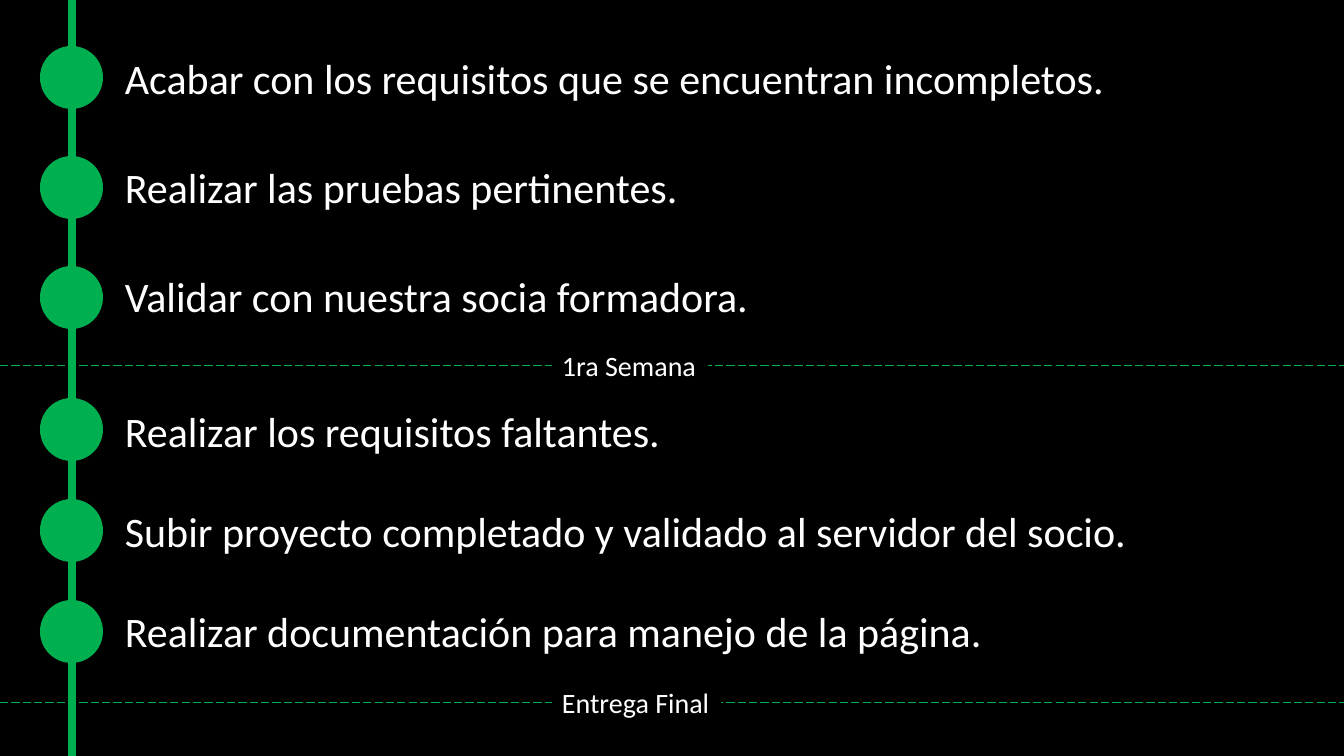
from pptx import Presentation
from pptx.dml.color import RGBColor
from pptx.enum.dml import MSO_LINE
from pptx.enum.shapes import MSO_CONNECTOR, MSO_SHAPE
from pptx.enum.text import MSO_ANCHOR, MSO_AUTO_SIZE, PP_ALIGN
from pptx.oxml.xmlchemy import OxmlElement
from pptx.util import Pt

SCALE = 914400 / 100.8
WIDE, HIGH = 1344, 756
COLORS = {"back": "000000", "green": "00B050", "text": "FFFFFF"}


def px(count):
    return round(count * SCALE)


def color(name):
    return RGBColor.from_string(COLORS[name])


class Board:
    font = "Calibri"

    def __init__(self, deck):
        self.slide = deck.slides.add_slide(deck.slide_layouts[6])
        self.shapes = self.slide.shapes
        fill = self.slide.background.fill
        fill.solid()
        fill.fore_color.rgb = color("back")

    def line(self, start, end, width, dash=None, host=None):
        points = [px(n) for n in (*start, *end)]
        line = (host or self.shapes).add_connector(MSO_CONNECTOR.STRAIGHT, *points)
        line.line.color.rgb = color("green")
        line.line.width = Pt(width)
        if dash:
            line.line.dash_style = dash
        line._element.spPr.append(OxmlElement("a:effectLst"))

    def shape(self, kind, box, fill, host=None):
        shape = (host or self.shapes).add_shape(kind, *map(px, box))
        shape.shadow.inherit = False
        shape.fill.solid()
        shape.fill.fore_color.rgb = color(fill)
        shape.line.fill.background()
        return shape

    def label(self, shape, words, size):
        frame = shape.text_frame
        frame.word_wrap = False
        frame.auto_size = MSO_AUTO_SIZE.SHAPE_TO_FIT_TEXT
        frame.vertical_anchor = MSO_ANCHOR.TOP
        para = frame.paragraphs[0]
        para.alignment = PP_ALIGN.LEFT
        run = para.add_run()
        run.text = words
        run.font.name = self.font
        run.font.size = Pt(size)
        run.font.color.rgb = color("text")

    def task(self, top, text_top, width, words):
        self.shape(MSO_SHAPE.OVAL, (40, top, 63, 63), "green")
        box = self.shapes.add_textbox(*map(px, (115, text_top, width, 61)))
        self.label(box, words, 30)

    def goal(self, mid, width, words):
        group = self.shapes.add_group_shape().shapes
        self.line((0, mid), (WIDE, mid), 0.75, MSO_LINE.LONG_DASH, group)
        plate = self.shape(MSO_SHAPE.RECTANGLE, (552, mid - 22, width, 44), "back", group)
        self.label(plate, words, 20)


PHASES = [
    (46, 110, 48, 109, [
        (1009, "Acabar con los requisitos que se encuentran incompletos."),
        (579, "Realizar las pruebas pertinentes."),
        (650, "Validar con nuestra socia formadora."),
    ], (366, 156, "1ra Semana")),
    (398, 101, 401, 100, [
        (560, "Realizar los requisitos faltantes."),
        (1032, "Subir proyecto completado y validado al servidor del socio."),
        (886, "Realizar documentación para manejo de la página."),
    ], (703, 169, "Entrega Final")),
]


def main():
    deck = Presentation()
    deck.slide_width, deck.slide_height = px(WIDE), px(HIGH)
    board = Board(deck)
    board.line((72, 0), (72, HIGH), 6)
    for top, step, text_top, text_step, tasks, goal in PHASES:
        for i, (width, words) in enumerate(tasks):
            board.task(top + i * step, text_top + i * text_step, width, words)
        board.goal(*goal)
    deck.save("out.pptx")


if __name__ == "__main__":
    main()
